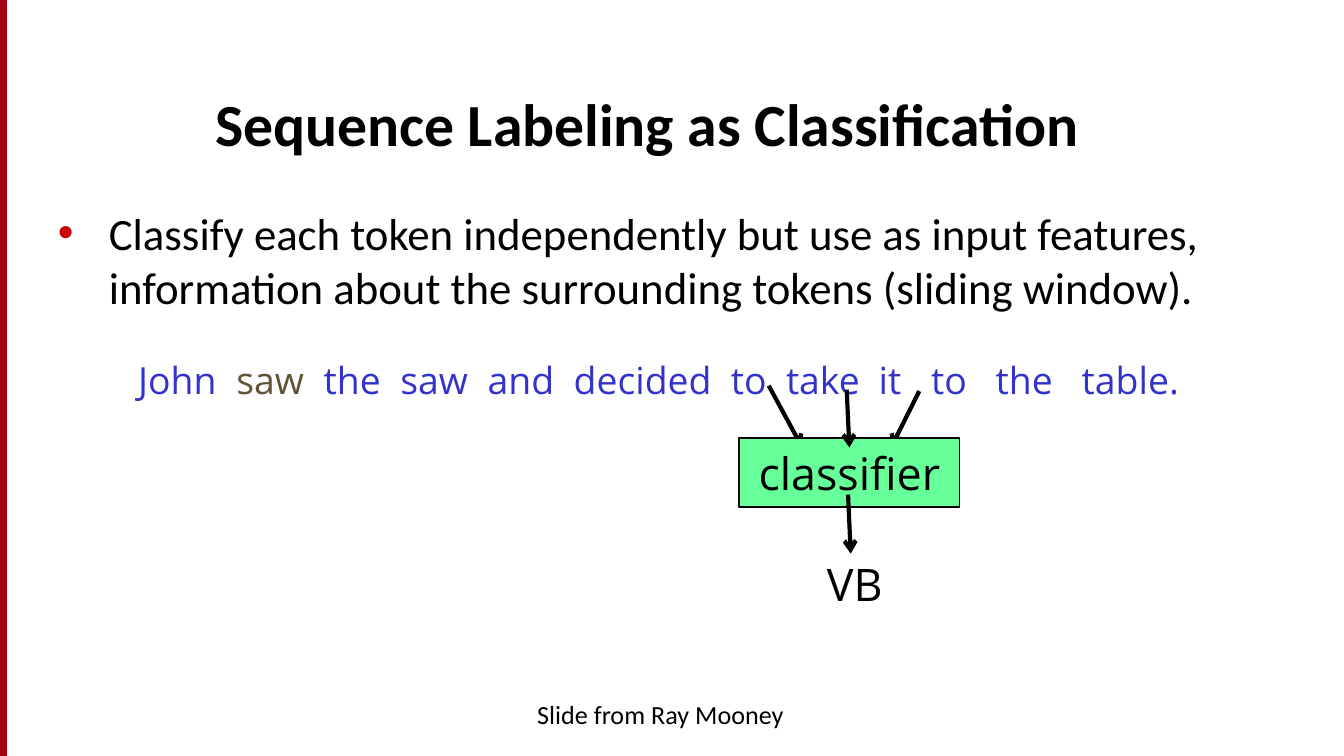
from lxml import etree
from pptx import Presentation
from pptx.dml.color import RGBColor
from pptx.enum.shapes import MSO_CONNECTOR, MSO_SHAPE
from pptx.enum.text import MSO_ANCHOR, MSO_AUTO_SIZE, PP_ALIGN
from pptx.oxml.ns import qn
from pptx.util import Inches, Pt

LEFT, CENTER = PP_ALIGN.LEFT, PP_ALIGN.CENTER
TOP, MIDDLE, BOTTOM = MSO_ANCHOR.TOP, MSO_ANCHOR.MIDDLE, MSO_ANCHOR.BOTTOM
NO_FIT = MSO_AUTO_SIZE.NONE
RECTANGLE, STRAIGHT = MSO_SHAPE.RECTANGLE, MSO_CONNECTOR.STRAIGHT
BLACK, BLUE, BROWN = "000000", "3333CC", "605435"


def rgb(value):
    """Turn a hex string into a colour."""
    return RGBColor.from_string(value)


def write(sp, box, runs, size, font, align=LEFT, anchor=TOP, bold=False, wrap=True):
    """Place a shape, fill it with (text, colour) runs and return its paragraph."""
    for name, value in zip(("left", "top", "width", "height"), box):
        setattr(sp, name, Inches(value))
    tf = sp.text_frame
    frame = {"auto_size": NO_FIT, "word_wrap": wrap, "vertical_anchor": anchor,
             "margin_left": Inches(0.1), "margin_right": Inches(0.1),
             "margin_top": Inches(0.05), "margin_bottom": Inches(0.05)}
    for name, value in frame.items():
        setattr(tf, name, value)
    p = tf.paragraphs[0]
    p.alignment = align
    for text, color in runs:
        r = p.add_run()
        r.text = text
        for name, value in {"size": Pt(size), "name": font, "bold": bold}.items():
            setattr(r.font, name, value)
        r.font.color.rgb = rgb(color)
    return p


prs = Presentation()
prs.slide_width = Inches(10)
prs.slide_height = prs.slide_width * 9 // 16
s = prs.slides.add_slide(prs.slide_layouts[1])
shapes = s.shapes
title, body = s.placeholders

# Red edge and classifier box
classifier_box = (5.5, 3.26, 1.64, 0.51)
rects = []
for box, fill, line, weight in [
    ((0, 0, 0.05, 5.63), "A40508", "A4001D", 0.75),
    (classifier_box, "66FF99", BLACK, 1),
]:
    sp = shapes.add_shape(RECTANGLE, *[Inches(v) for v in box])
    sp.shadow.inherit = False
    sp.fill.solid()
    sp.fill.fore_color.rgb = rgb(fill)
    sp.line.color.rgb = rgb(line)
    sp.line.width = Pt(weight)
    rects.append(sp)
edge, classifier = rects
title._element.addprevious(edge._element)

# Title and bullet
write(title, (1.5, 0.42, 8.17, 0.81), [("Sequence Labeling as Classification", BLACK)],
      32, "Calibri", anchor=BOTTOM, bold=True)
p = write(body, (0.33, 1.48, 9.33, 3.65),
          [("Classify each token independently but use as input features, "
            "information about the surrounding tokens (sliding window).", BLACK)],
          24, "Calibri")
p.space_before = Pt(0)
pPr = p._p.get_or_add_pPr()
pPr.set("marL", str(Inches(0.38)))
pPr.set("indent", str(-Inches(0.38)))
bullet_color = etree.SubElement(pPr, qn("a:buClr"))
etree.SubElement(bullet_color, qn("a:srgbClr"), val="CC0000")
etree.SubElement(pPr, qn("a:buFont"), typeface="Arial")
etree.SubElement(pPr, qn("a:buChar"), char="•")

# Credit, token sentence and label
credit, sentence, label = [shapes.add_textbox(0, 0, 0, 0) for _ in range(3)]
write(credit, (3.33, 5.15, 3.17, 0.38), [("Slide from Ray Mooney", BLACK)],
      14, "Calibri", align=CENTER)
tokens = "the saw and decided to take it to the table.".split()
p = write(sentence, (0.93, 2.61, 8.61, 0.44),
          [("John\t", BLUE), ("saw\t", BROWN), ("\t".join(tokens), BLUE)],
          20, "Open Sans")
tabs = etree.SubElement(p._p.get_or_add_pPr(), qn("a:tabLst"))
for stop in (0.73, 1.38, 1.95, 2.6, 3.24, 4.41, 4.82, 5.51, 5.9, 6.38, 7.02):
    etree.SubElement(tabs, qn("a:tab"), pos=str(Inches(stop)), algn="l")
write(classifier, classifier_box, [("classifier", BLACK)],
      24, "Open Sans", align=CENTER, anchor=MIDDLE, wrap=False)
write(label, (6.05, 4.09, 0.62, 0.51), [("VB", BLACK)],
      24, "Open Sans", align=CENTER, wrap=False)

# Arrows: the outer two end behind the classifier box
for ends, behind in [
    ((5.72, 2.87, 5.97, 3.33), True),
    ((6.84, 2.91, 6.63, 3.33), True),
    ((6.3, 2.9, 6.32, 3.33), False),
    ((6.31, 3.68, 6.33, 4.12), False),
]:
    arrow = shapes.add_connector(STRAIGHT, *[Inches(v) for v in ends])
    arrow.line.color.rgb = rgb(BLACK)
    arrow.line.width = Pt(2.25)
    spPr = arrow._element.spPr
    etree.SubElement(spPr.find(qn("a:ln")), qn("a:tailEnd"), type="arrow")
    etree.SubElement(spPr, qn("a:effectLst"))
    if behind:
        classifier._element.addprevious(arrow._element)

prs.save("out.pptx")
